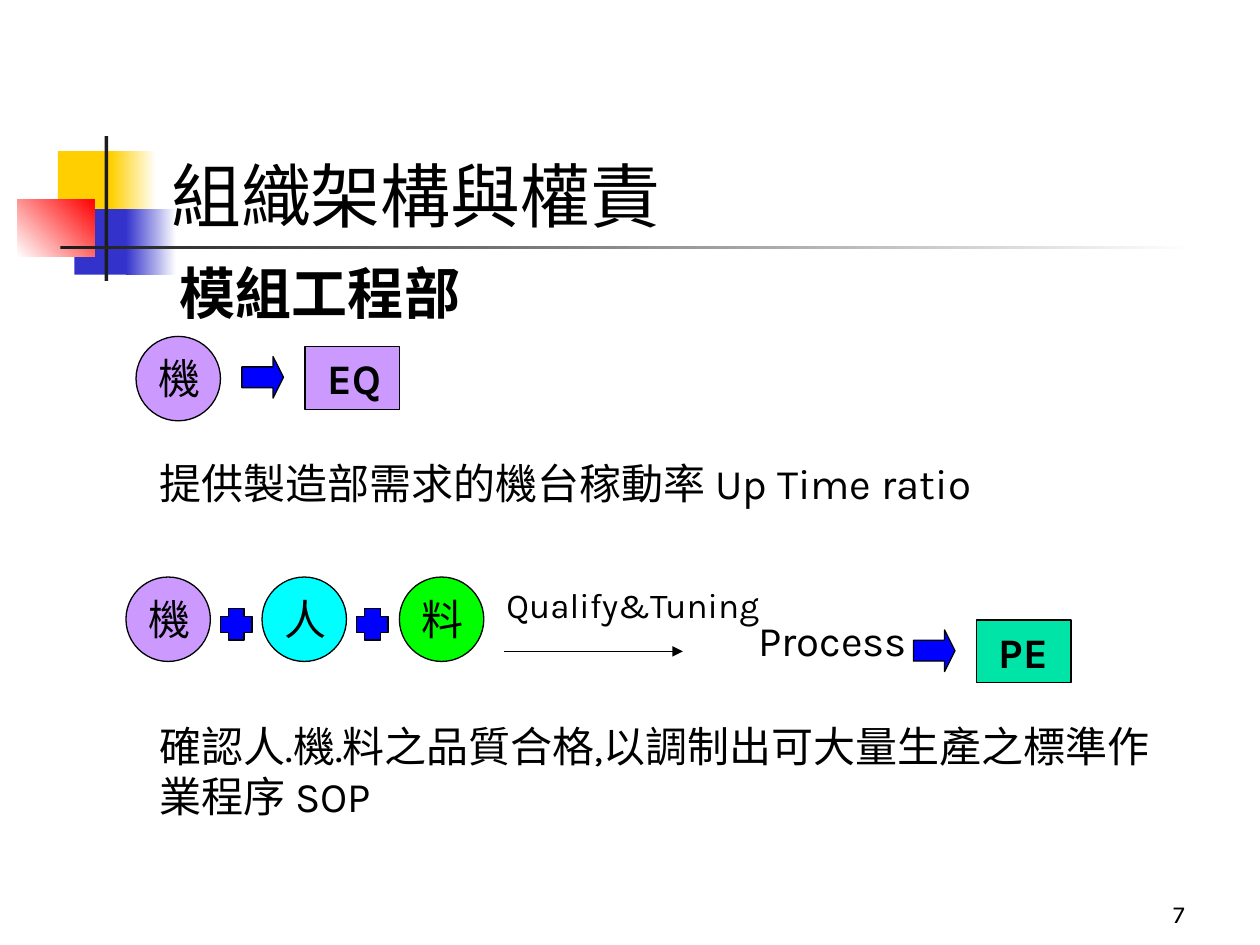
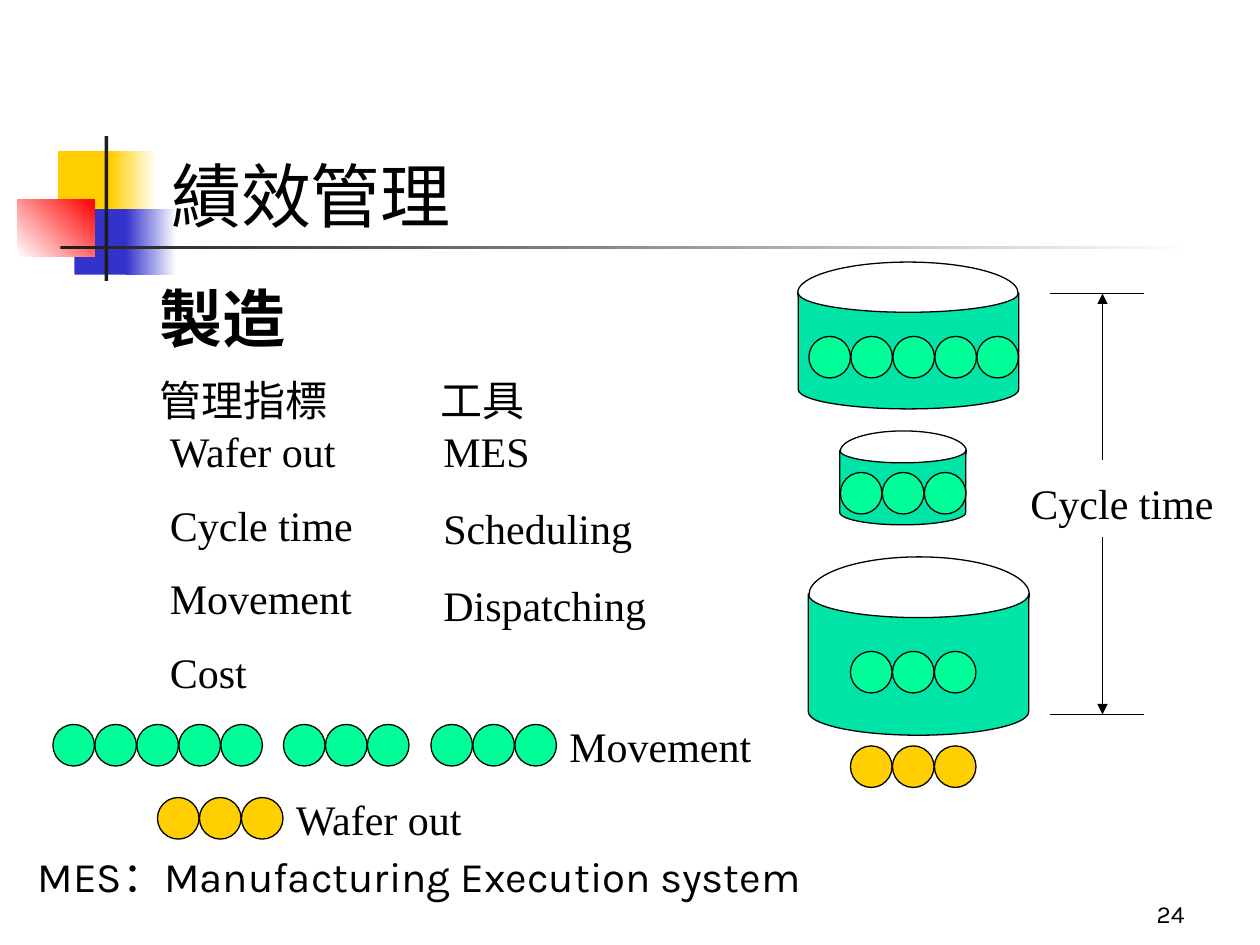
"""Build two slides: the module engineering department and manufacturing performance."""
from lxml import etree
from pptx import Presentation
from pptx import util as u
from pptx.dml.color import RGBColor
from pptx.enum import shapes, text
from pptx.oxml import ns

hue = RGBColor.from_string
Kind = shapes.MSO_SHAPE
BLACK, INK, WHITE = "000000", "1C1C1C", "FFFFFF"
GOLD, NAVY, RED, BLUE = "FFCF01", "3333CC", "FF0000", "0000FF"
LILAC, CYAN, LIME = "CC99FF", "00FFFF", "00FF00"
TEAL, MINT = "00E4A8", "00FF99"
SANS, SERIF, COMIC = "Karla", "Times New Roman", "Comic Neue"


def draw(page, kind, at, fill=None, edge=BLACK, angle=0):
    item = page.shapes.add_shape(kind, *map(u.Inches, at))
    item.shadow.inherit = False
    if fill is None:
        item.fill.background()
    elif isinstance(fill, tuple):
        item.fill.gradient()
        item.fill.gradient_angle = angle
        for stop, tint in zip(item.fill.gradient_stops, fill):
            stop.color.rgb = hue(tint)
    else:
        item.fill.solid()
        item.fill.fore_color.rgb = hue(fill)
    if edge:
        item.line.color.rgb = hue(edge)
        item.line.width = u.Pt(0.75)
    else:
        item.line.fill.background()
    return item


def say(page, words, at, size=24, face=SANS, bold=False, base=False, right=False):
    frame = page.shapes.add_textbox(*map(u.Inches, at)).text_frame
    frame.word_wrap = True
    if base:
        frame.vertical_anchor = text.MSO_ANCHOR.BOTTOM
    for row, line in enumerate(words.split("\n")):
        para = frame.add_paragraph() if row else frame.paragraphs[0]
        if row:
            para.space_before = u.Pt(15)
        if right:
            para.alignment = text.PP_ALIGN.RIGHT
        run = para.add_run()
        run.text = line
        run.font.size = u.Pt(size)
        run.font.name = face
        run.font.bold = bold
        run.font.color.rgb = hue(BLACK)


deck = Presentation()
deck.slide_width, deck.slide_height = u.Inches(10), u.Inches(7.5)

bands = [
    ((0.46, 1.2, 0.48, 0.52), GOLD, 0),
    ((0.88, 1.2, 0.36, 0.52), (GOLD, WHITE), 0),
    ((0.59, 1.66, 0.46, 0.52), NAVY, 0),
    ((1, 1.66, 0.4, 0.52), (NAVY, WHITE), 0),
    ((0.14, 1.58, 0.61, 0.46), (WHITE, RED), 45),
    ((0.83, 1.08, 0.03, 1.15), INK, 0),
    ((0.48, 1.95, 9, 0.03), (INK, WHITE), 0),
]
pages = []
for title, number in [("組織架構與權責", "7"), ("績效管理", "24")]:
    page = deck.slides.add_slide(deck.slide_layouts[6])
    for at, fill, angle in bands:
        draw(page, Kind.RECTANGLE, at, fill, None, angle)
    say(page, number, (7.42, 6.92, 2.08, 0.5), 14, base=True, right=True)
    say(page, title, (1.26, 0.68, 8.52, 1.25), 40, SERIF, base=True)
    pages.append(page)
duty, score = pages

say(duty, "模組工程部", (1.33, 2, 3.25, 0.64), 32, bold=True)
for word, x, y, fill in [("機", 1.08, 2.67, LILAC), ("機", 1, 4.58, LILAC),
                         ("人", 2.08, 4.58, CYAN), ("料", 3.17, 4.58, LIME)]:
    draw(duty, Kind.OVAL, (x, y, 0.67, 0.67), fill)
    say(duty, word, (x + 0.08, y + 0.08, 0.75, 0.5))
for word, x, y, fill in [("EQ", 2.42, 2.75, LILAC), ("PE", 7.75, 4.92, TEAL)]:
    draw(duty, Kind.RECTANGLE, (x, y, 0.75, 0.5), fill)
    say(duty, word, (x + 0.08, y, 1.08, 0.5), bold=True)
    arrow = draw(duty, Kind.RIGHT_ARROW, (x - 0.5, y + 0.08, 0.33, 0.33), BLUE)
    arrow.adjustments[1] = 0.25
for x in (1.75, 2.83):
    draw(duty, Kind.CROSS, (x, 4.83, 0.25, 0.25), BLUE)
say(duty, "Qualify&Tuning", (3.92, 4.58, 3.08, 0.44), 20)
say(duty, "Process", (5.92, 4.83, 2, 0.5))
say(duty, "提供製造部需求的機台稼動率 Up Time ratio", (1.17, 3.58, 8.08, 0.5))
say(duty, "確認人.機.料之品質合格,以調制出可大量生產之標準作業程序 SOP",
    (1.17, 5.67, 8.08, 0.9))

say(score, "製造", (1.17, 2.17, 5.17, 0.7), 36, COMIC, bold=True)
say(score, "管理指標", (1.17, 2.92, 2, 0.5), face=COMIC)
say(score, "工具", (3.4, 2.92, 1.2, 0.5), face=COMIC)
for row, word in enumerate(["Wafer out", "Cycle time", "Movement", "Cost"]):
    say(score, word, (1.25, 3.33 + row * 1.75 / 3, 1.92, 0.5), face=SERIF)
say(score, "MES\nScheduling\nDispatching", (3.42, 3.33, 2.17, 1.72), face=SERIF)

for lid, body in [((6.67, 3.42, 1, 0.32), (6.87, 3.37, 0.59, 1)),
                  ((6.33, 2.08, 1.75, 0.49), (6.75, 1.91, 0.92, 1.75)),
                  ((6.42, 4.42, 1.75, 0.6), (6.73, 4.4, 1.12, 1.75))]:
    draw(score, Kind.OVAL, lid)
    draw(score, Kind.FLOWCHART_STORED_DATA, body, TEAL).rotation = 270

for count, x, y, fill in [(5, 6.42, 2.67, MINT), (3, 6.67, 3.75, MINT),
                          (3, 6.75, 5.17, MINT), (3, 6.75, 5.92, GOLD),
                          (5, 0.42, 5.75, MINT), (3, 2.25, 5.75, MINT),
                          (3, 3.42, 5.75, MINT), (3, 1.25, 6.33, GOLD)]:
    for step in range(count):
        draw(score, Kind.OVAL, (x + step / 3, y, 0.33, 0.33), fill)
for word, x, y in [("Movement", 4.42, 5.67), ("Wafer out", 2.25, 6.25),
                   ("Cycle time", 8.08, 3.74)]:
    say(score, word, (x, y, 1.92, 0.5), face=SERIF)
say(score, "MES：Manufacturing Execution system", (0.2, 6.7, 6.9, 0.5))

for page, ends, tip in [(duty, (4, 5.17, 5.42, 5.17), True),
                        (score, (8.33, 2.33, 9.08, 2.33), False),
                        (score, (8.75, 3.65, 8.75, 2.33), True),
                        (score, (8.33, 5.67, 9.08, 5.67), False),
                        (score, (8.75, 4.26, 8.75, 5.67), True)]:
    line = page.shapes.add_connector(shapes.MSO_CONNECTOR.STRAIGHT, *map(u.Inches, ends))
    line.line.color.rgb = hue(BLACK)
    line.line.width = u.Pt(0.75)
    if tip:
        etree.SubElement(line.line._get_or_add_ln(), ns.qn("a:tailEnd"), type="triangle")
    etree.SubElement(line._element.spPr, ns.qn("a:effectLst"))

deck.save("out.pptx")
